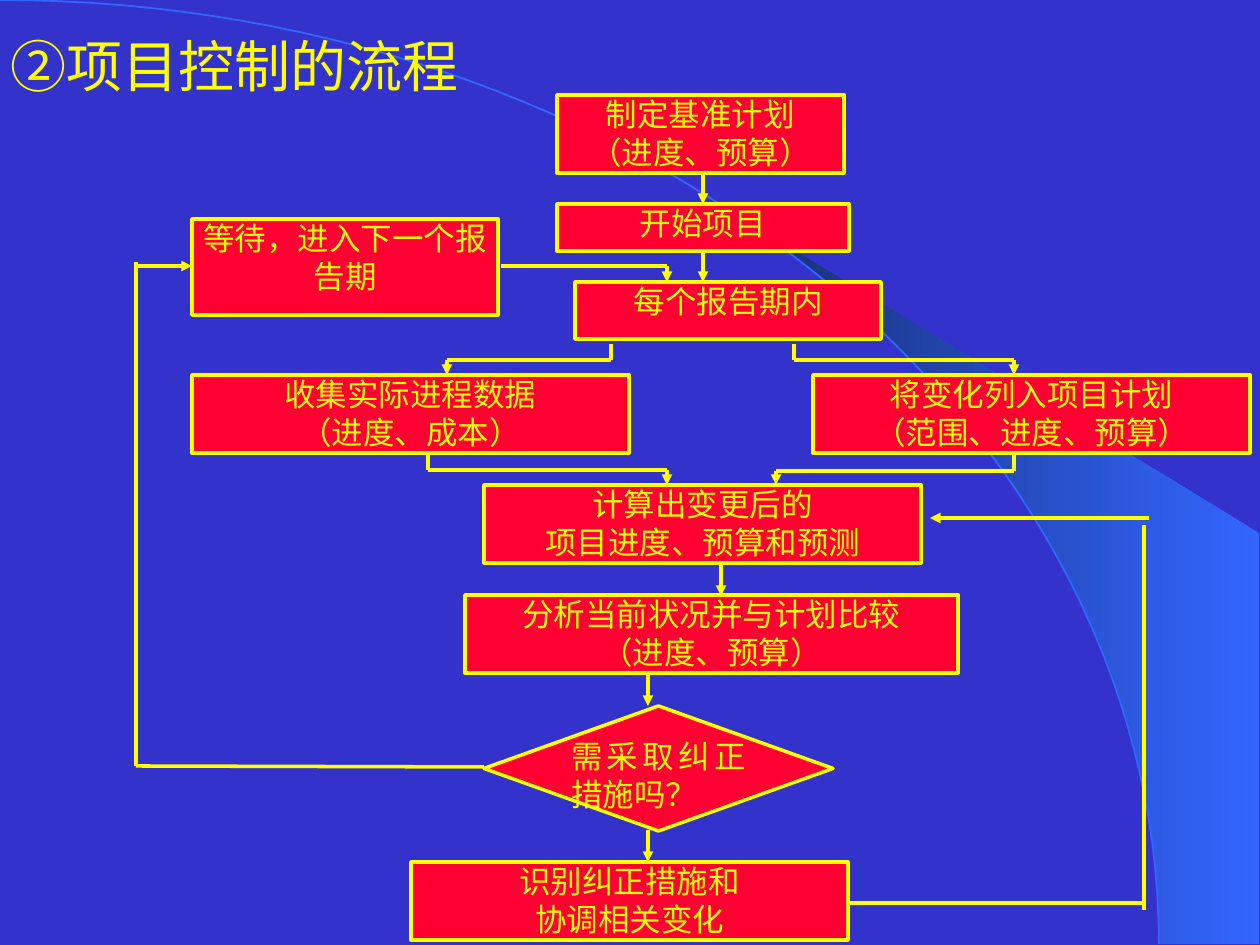
from math import asin, cos, pi, sin

from lxml import etree
from pptx import Presentation
from pptx.dml.color import RGBColor
from pptx.enum.shapes import MSO_CONNECTOR, MSO_SHAPE
from pptx.enum.text import MSO_ANCHOR, MSO_AUTO_SIZE, PP_ALIGN
from pptx.oxml.ns import qn
from pptx.util import Emu, Pt

RECT, DIAMOND = MSO_SHAPE.RECTANGLE, MSO_SHAPE.FLOWCHART_DECISION
STRAIGHT = MSO_CONNECTOR.STRAIGHT
TOP, MIDDLE = MSO_ANCHOR.TOP, MSO_ANCHOR.MIDDLE
LEFT, CENTER, JUSTIFY = PP_ALIGN.LEFT, PP_ALIGN.CENTER, PP_ALIGN.JUSTIFY
NO_FIT = MSO_AUTO_SIZE.NONE

WIDE, HIGH = 1260, 945
BLUE, SKY, NAVY = "3333CC", "3366FF", "172F75"
RED, YELLOW = "FF0033", "FFFF00"

# Left, top, width, height and text of each step
STEPS = [
    (557, 95, 287, 78, "制定基准计划\n（进度、预算）"),
    (557, 204, 292, 47, "开始项目"),
    (192, 219, 306, 96, "等待，进入下一个报告期"),
    (575, 282, 306, 57, "每个报告期内"),
    (192, 375, 437, 78, "收集实际进程数据\n（进度、成本）"),
    (813, 375, 437, 78, "将变化列入项目计划\n（范围、进度、预算）"),
    (484, 485, 437, 78, "计算出变更后的\n项目进度、预算和预测"),
    (465, 595, 493, 78, "分析当前状况并与计划比较\n（进度、预算）"),
    (411, 862, 437, 78, "识别纠正措施和\n协调相关变化"),
]
CHOICE = (484, 706, 349, 125, "需采取纠正措施吗？")

# Corner points of each route that ends in an arrowhead
ARROWS = [
    [(703, 173), (703, 204)],
    [(703, 251), (703, 282)],
    [(501, 266), (667, 266), (667, 282)],
    [(611, 344), (611, 360), (447, 360), (447, 375)],
    [(794, 344), (794, 360), (1014, 360), (1014, 375)],
    [(428, 454), (428, 470), (667, 470), (667, 485)],
    [(1014, 454), (1014, 471), (776, 471), (776, 485)],
    [(721, 564), (721, 596)],
    [(648, 674), (648, 706)],
    [(648, 830), (648, 862)],
    [(1149, 518), (930, 518)],
    [(136, 266), (192, 266)],
]
PLAIN = [
    [(850, 903), (1144, 903)],
    [(1144, 910), (1144, 525)],
    [(484, 767), (136, 766), (136, 262)],
]


def px(n):
    return Emu(round(n * 914400 / 126))


def rgb(code):
    return RGBColor.from_string(code)


def write(shape, text, size, font, align, anchor):
    frame = shape.text_frame
    frame.text = text
    frame.word_wrap = True
    frame.auto_size = NO_FIT
    frame.vertical_anchor = anchor
    frame.margin_left = frame.margin_top = frame.margin_right = 0
    frame.margin_bottom = px(6)
    for para in frame.paragraphs:
        para.alignment = align
        for run in para.runs:
            run.font.size = Pt(size)
            run.font.name = font
            run.font.color.rgb = rgb(YELLOW)


def add_step(slide, kind, box, align):
    *place, text = box
    shape = slide.shapes.add_shape(kind, *map(px, place))
    shape.shadow.inherit = False
    shape.fill.solid()
    shape.fill.fore_color.rgb = rgb(RED)
    shape.line.color.rgb = rgb(YELLOW)
    shape.line.width = Pt(2)
    write(shape, text, 18, "Times New Roman", align, TOP)


def add_route(slide, points, arrow):
    for start, end in zip(points, points[1:]):
        leg = slide.shapes.add_connector(STRAIGHT, *map(px, start + end))
        leg.line.color.rgb = rgb(YELLOW)
        leg.line.width = Pt(2)
        props = leg.element.spPr
        etree.SubElement(props, qn("a:effectLst"))
        if arrow and end == points[-1]:
            tail = etree.SubElement(props.find(qn("a:ln")), qn("a:tailEnd"))
            tail.set("type", "triangle")


def arc(width, height, first=0, steps=60):
    """Points on the quarter ellipse from angle first to the bottom right."""
    turns = [first + (pi / 2 - first) * i / steps for i in range(steps + 1)]
    return [(width * sin(t), height * (1 - cos(t))) for t in turns]


def add_path(slide, points, close):
    spots = [(px(x), px(y)) for x, y in points]
    pen = slide.shapes.build_freeform(*spots[0])
    pen.add_line_segments(spots[1:], close=close)
    shape = pen.convert_to_shape()
    shape.shadow.inherit = False
    return shape


def add_decor(slide, width, height):
    first = asin(742 / width)
    beam = add_path(
        slide, arc(width, height, first) + [(1259, height), (1259, 533)], True)
    beam.line.fill.background()
    beam.fill.gradient()
    beam.fill.gradient_angle = 180
    for stop, code in zip(beam.fill.gradient_stops, (SKY, NAVY)):
        stop.color.rgb = rgb(code)
    curve = add_path(slide, arc(width, height), False)
    curve.fill.background()
    curve.line.color.rgb = rgb(SKY)
    curve.line.width = Pt(1)


def set_title(slide, left, top, width, height):
    title = slide.shapes.title
    title.left, title.top = px(left), px(top)
    title.width, title.height = px(width), px(height)
    write(title, "②项目控制的流程", 32, "Arial", LEFT, MIDDLE)
    title.element.getparent().append(title.element)  # in front of the arc


def add_flow(slide):
    for box in STEPS:
        add_step(slide, RECT, box, CENTER)
    add_step(slide, DIAMOND, CHOICE, JUSTIFY)
    for points in ARROWS:
        add_route(slide, points, True)
    for points in PLAIN:
        add_route(slide, points, False)


def main():
    deck = Presentation()
    deck.slide_width, deck.slide_height = px(WIDE), px(HIGH)
    slide = deck.slides.add_slide(deck.slide_layouts[5])
    slide.background.fill.solid()
    slide.background.fill.fore_color.rgb = rgb(BLUE)
    add_decor(slide, 1159, 944)
    add_flow(slide)
    set_title(slide, 10, 32, 1071, 73)
    deck.save("out.pptx")


if __name__ == "__main__":
    main()
